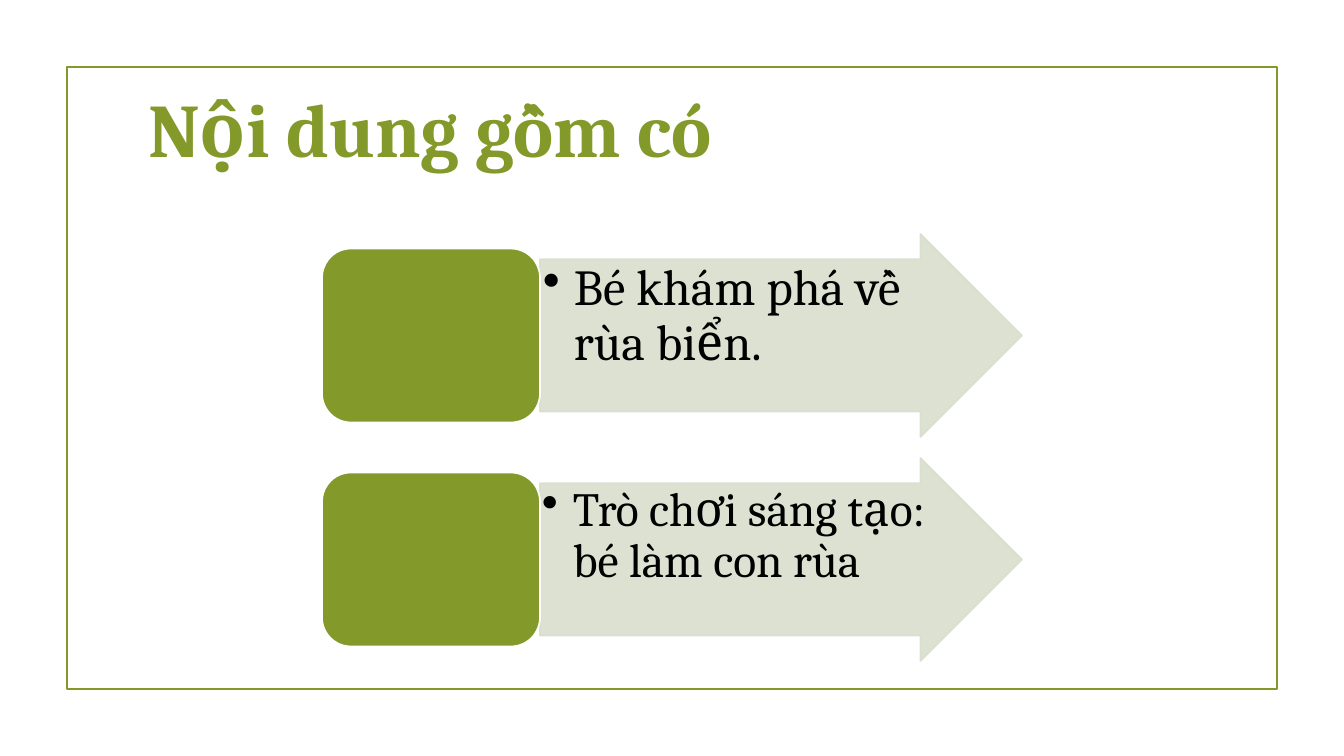
from lxml import etree
from pptx import Presentation
from pptx.dml.color import RGBColor
from pptx.enum.shapes import MSO_SHAPE
from pptx.enum.text import MSO_ANCHOR, MSO_AUTO_SIZE, PP_ALIGN
from pptx.oxml.ns import qn
from pptx.util import Pt

RECTANGLE = MSO_SHAPE.RECTANGLE
ROUNDED = MSO_SHAPE.ROUNDED_RECTANGLE
ARROW = MSO_SHAPE.RIGHT_ARROW
TOP = MSO_ANCHOR.TOP
LEFT = PP_ALIGN.LEFT
NO_AUTOSIZE = MSO_AUTO_SIZE.NONE

SLIDE_WIDTH, SLIDE_HEIGHT = 1344, 756
EMU_PER_PX = 12192000 / SLIDE_WIDTH
FONT = "Cambria"
GREEN, PALE, WHITE, BLACK = "83992A", "D9DECD", "FFFFFF", "000000"
OPACITY = 90

ROW_PITCH = 224
ITEMS = [  # text, size in points, inset in px
    ("Bé khám phá về rùa biển.", 36, 3),
    ("Trò chơi sáng tạo: bé làm con rùa", 34, 2),
]


def px(length):
    return round(length * EMU_PER_PX)


def set_color(color_format, hex_color, opacity=100):
    color_format.rgb = RGBColor.from_string(hex_color)


def paint(fill, hex_color, opacity=100):
    fill.solid()
    set_color(fill.fore_color, hex_color)
    if opacity < 100:
        # The colour element carries its transparency as a child
        for color in fill._xPr.iter(qn("a:srgbClr")):
            if color.getparent().getparent() is fill._xPr:
                etree.SubElement(color, qn("a:alpha"), val=str(opacity * 1000))


def add_block(slide, kind, box, fill, line, opacity=100):
    shape = slide.shapes.add_shape(kind, *map(px, box))
    shape.shadow.inherit = False
    if fill:
        paint(shape.fill, fill, opacity)
    else:
        shape.fill.background()
    paint(shape.line.fill, line, opacity)
    shape.line.width = Pt(1.25)
    return shape


def format_font(paragraph, size, hex_color, bold=False):
    paragraph.alignment = LEFT
    font = paragraph.font
    font.name, font.size, font.bold = FONT, Pt(size), bold
    set_color(font.color, hex_color)


def add_bullet(paragraph, indent):
    properties = paragraph._p.get_or_add_pPr()
    properties.set("marL", str(px(indent)))
    properties.set("indent", str(-px(indent)))
    etree.SubElement(properties, qn("a:buChar"), char="•")


def set_title(slide, text, box):
    title = slide.shapes.title
    title.left, title.top, title.width, title.height = map(px, box)
    frame = title.text_frame
    frame.text = text
    frame.auto_size = NO_AUTOSIZE
    frame.vertical_anchor = TOP
    format_font(frame.paragraphs[0], 54, GREEN, bold=True)


def add_item(slide, text, size, inset, box):
    """A pale arrow with a bullet, and a green block at its left."""
    left, top, width, height = box
    block_width, block_height = 218, 174

    # Arrow and its text
    arrow = add_block(
        slide, ARROW,
        (left + block_width, top, width - block_width, height),
        PALE, PALE, OPACITY)
    arrow.adjustments[0], arrow.adjustments[1] = 0.75, 0.5
    frame = arrow.text_frame
    frame.word_wrap = True
    frame.vertical_anchor = TOP
    frame.margin_left = frame.margin_right = px(inset)
    frame.margin_top = frame.margin_bottom = px(inset)
    frame.text = text
    paragraph = frame.paragraphs[0]
    paragraph.line_spacing = 0.9
    add_bullet(paragraph, 31)
    format_font(paragraph, size, BLACK)

    # Block, centred on the arrow
    block_top = top + (height - block_height) / 2
    add_block(slide, ROUNDED, (left, block_top, block_width, block_height),
              GREEN, WHITE)


def build_contents_slide(presentation):
    slide = presentation.slides.add_slide(presentation.slide_layouts[5])
    add_block(slide, RECTANGLE, (67, 67, 1210, 622), None, GREEN)
    set_title(slide, "Nội dung gồm có", (138, 77, 599, 102))
    for row, (text, size, inset) in enumerate(ITEMS):
        box = (322, 234 + row * ROW_PITCH, 700, 203)
        add_item(slide, text, size, inset, box)


def main():
    presentation = Presentation()
    presentation.slide_width = px(SLIDE_WIDTH)
    presentation.slide_height = px(SLIDE_HEIGHT)
    build_contents_slide(presentation)
    presentation.save("out.pptx")


if __name__ == "__main__":
    main()
